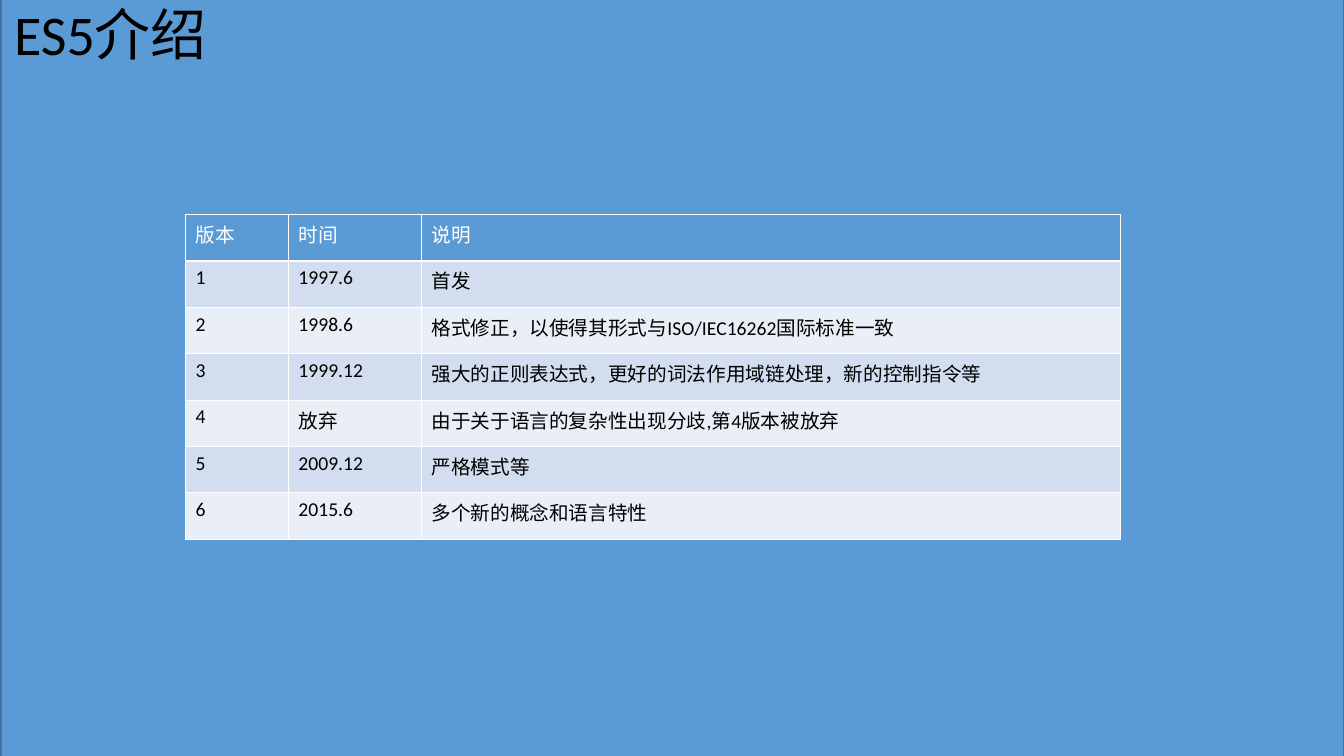
import pptx
import pptx.dml.color
import pptx.enum.shapes
import pptx.enum.text
import pptx.oxml
import pptx.oxml.ns
import pptx.util

Inches, Pt = pptx.util.Inches, pptx.util.Pt
RGBColor = pptx.dml.color.RGBColor
BLUE = RGBColor(0x5B, 0x9B, 0xD5)
EDGE = RGBColor(0x43, 0x73, 0x9E)
BAND_DARK = RGBColor(0xD2, 0xDE, 0xEF)
BAND_LIGHT = RGBColor(0xEA, 0xEF, 0xF7)
WHITE = RGBColor(0xFF, 0xFF, 0xFF)
BLACK = RGBColor(0, 0, 0)


def write(frame, text, size=14, color=BLACK, spacing=1.0):
    frame.word_wrap = True
    paragraph = frame.paragraphs[0]
    paragraph.alignment = pptx.enum.text.PP_ALIGN.LEFT
    paragraph.line_spacing = spacing
    run = paragraph.add_run()
    run.text = text
    run.font.name = "Calibri"
    run.font.size = Pt(size)
    run.font.bold = False
    run.font.color.rgb = color


deck = pptx.Presentation()
deck.slide_width, deck.slide_height = Inches(13.33), Inches(7.5)
slide = deck.slides.add_slide(deck.slide_layouts[5])

# Blue backdrop, sent behind the title
backdrop = slide.shapes.add_shape(
    pptx.enum.shapes.MSO_SHAPE.RECTANGLE,
    Inches(0.01), Inches(-0.01), Inches(13.32), Inches(7.52))
backdrop.shadow.inherit = False
backdrop.fill.solid()
backdrop.fill.fore_color.rgb = BLUE
backdrop.line.color.rgb = EDGE
backdrop.line.width = Pt(1)
slide.shapes.element.insert(2, backdrop.element)

# Title
heading = slide.shapes.title
heading.left, heading.top = Inches(0.04), Inches(0.02)
heading.width, heading.height = Inches(13.27), Inches(0.99)
heading.text_frame.auto_size = pptx.enum.text.MSO_AUTO_SIZE.NONE
heading.text_frame.vertical_anchor = pptx.enum.text.MSO_ANCHOR.TOP
write(heading.text_frame, "ES5介绍", size=40, spacing=0.9)

# Version history
versions = [
    ("版本", "时间", "说明"),
    ("1", "1997.6", "首发"),
    ("2", "1998.6", "格式修正，以使得其形式与ISO/IEC16262国际标准一致"),
    ("3", "1999.12", "强大的正则表达式，更好的词法作用域链处理，新的控制指令等"),
    ("4", "放弃", "由于关于语言的复杂性出现分歧,第4版本被放弃"),
    ("5", "2009.12", "严格模式等"),
    ("6", "2015.6", "多个新的概念和语言特性"),
]
column_widths = [1.02, 1.32, 6.93]
row_height = Inches(0.46)
history = slide.shapes.add_table(
    len(versions), len(column_widths), Inches(1.84), Inches(2.13),
    Inches(sum(column_widths)), row_height * len(versions)).table
history.first_row = history.horz_banding = False
for column, width in zip(history.columns, column_widths):
    column.width = Inches(width)

for r, version in enumerate(versions):
    history.rows[r].height = row_height
    band = BLUE if r == 0 else BAND_DARK if r % 2 else BAND_LIGHT
    for c, text in enumerate(version):
        cell = history.cell(r, c)
        write(cell.text_frame, text, color=BLACK if r else WHITE)
        # Thin white border on each side, placed before the fill
        for side in ("lnL", "lnR", "lnT", "lnB"):
            cell._tc.get_or_add_tcPr().append(pptx.oxml.parse_xml(
                f'<a:{side} {pptx.oxml.ns.nsdecls("a")} w="{Pt(1)}">'
                f'<a:solidFill><a:srgbClr val="{WHITE}"/></a:solidFill></a:{side}>'))
        cell.fill.solid()
        cell.fill.fore_color.rgb = band

deck.save("out.pptx")
